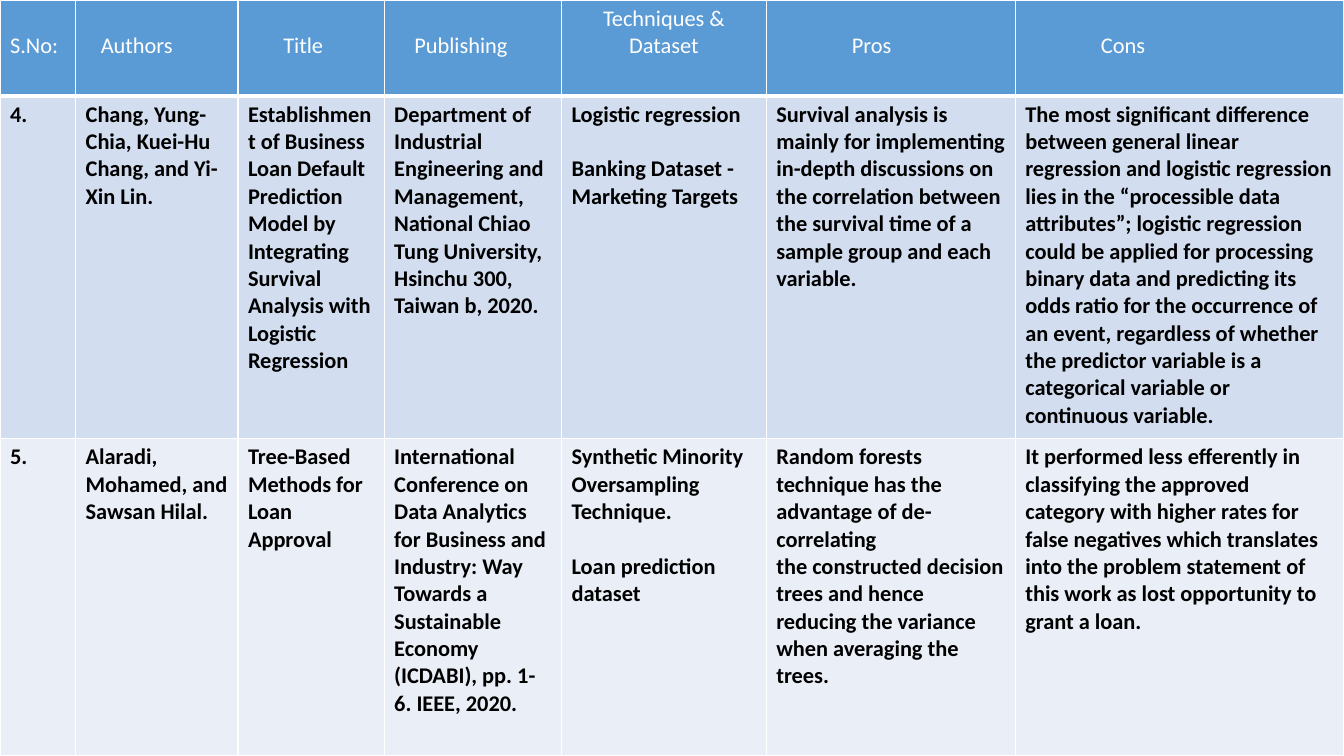
from lxml.etree import SubElement
from pptx import Presentation
from pptx.dml.color import RGBColor
from pptx.enum.text import PP_ALIGN
from pptx.oxml.ns import qn
from pptx.util import Inches, Pt

WHITE = RGBColor(0xFF, 0xFF, 0xFF)
BLACK = RGBColor(0x00, 0x00, 0x00)
BLUE = RGBColor(0x5B, 0x9B, 0xD5)
PALE = RGBColor(0xD2, 0xDE, 0xEF)
LIGHT = RGBColor(0xEA, 0xEF, 0xF7)

WIDTHS = [0.75, 1.61, 1.45, 1.76, 2.03, 2.47, 3.26]
HEIGHTS = [0.95, 3.4, 3.15]
FILLS = [BLUE, PALE, LIGHT]
LEFTS = [0.1, 0.25, 0.45, 0.3, 0.1, 0.85, 0.85]  # left margins of the headings
DATA = 4  # column of techniques and datasets

# Each cell is a list of paragraphs
ROWS = [
    [["S.No:"], ["Authors"], ["Title"], ["Publishing"],
     ["Techniques & Dataset"], ["Pros"], ["Cons"]],
    [["4."],
     ["Chang, Yung-Chia, Kuei-Hu Chang, and Yi-Xin Lin."],
     ["Establishment of Business Loan Default Prediction Model by "
      "Integrating Survival Analysis with Logistic Regression"],
     ["Department of Industrial Engineering and Management, National "
      "Chiao Tung University, Hsinchu 300, Taiwan b, 2020."],
     ["Logistic regression", "Banking Dataset - Marketing Targets"],
     ["Survival analysis is mainly for implementing in-depth discussions "
      "on the correlation between the survival time of a sample group and "
      "each variable."],
     ["The most significant difference between general linear regression "
      "and logistic regression lies in the “processible data attributes”; "
      "logistic regression could be applied for processing binary data and "
      "predicting its odds ratio for the occurrence of an event, regardless "
      "of whether the predictor variable is a categorical variable or "
      "continuous variable."]],
    [["5."],
     ["Alaradi, Mohamed, and Sawsan Hilal."],
     ["Tree-Based Methods for Loan Approval"],
     ["International Conference on Data Analytics for Business and "
      "Industry: Way Towards a Sustainable Economy (ICDABI), pp. 1-6. "
      "IEEE, 2020."],
     ["Synthetic Minority Oversampling Technique.",
      "Loan prediction dataset"],
     ["Random forests technique has the advantage of de-correlating",
      "the constructed decision trees and hence reducing the variance when "
      "averaging the trees."],
     ["It performed less efferently in classifying the approved category "
      "with higher rates for false negatives which translates into the "
      "problem statement of this work as lost opportunity to grant a "
      "loan."]],
]


def edge(cell, side, width):
    line = SubElement(cell._tc.get_or_add_tcPr(), qn("a:ln" + side), w=str(Pt(width)))
    fill = SubElement(line, qn("a:solidFill"))
    SubElement(fill, qn("a:srgbClr"), val=str(WHITE))


deck = Presentation()
deck.slide_width, deck.slide_height = Inches(13.33), Inches(7.5)
slide = deck.slides.add_slide(deck.slide_layouts[6])

# Table grid
table = slide.shapes.add_table(
    len(HEIGHTS), len(WIDTHS), 0, 0, Inches(13.33), Inches(7.5)).table
table.horz_banding = False
for col, width in zip(table.columns, WIDTHS):
    col.width = Inches(width)
for row, height in zip(table.rows, HEIGHTS):
    row.height = Inches(height)

# Cells
for r, texts in enumerate(ROWS):
    head = r == 0
    for c, paras in enumerate(texts):
        cell = table.cell(r, c)
        for side in "LRTB":
            edge(cell, side, 3 if head and side == "B" else 1)
        cell.fill.solid()
        cell.fill.fore_color.rgb = FILLS[r]
        if head:
            cell.margin_left = Inches(LEFTS[c])
            cell.margin_top = Inches(0.05 if c == DATA else 0.32)
        frame = cell.text_frame
        for i, text in enumerate(paras):
            para = frame.add_paragraph() if i else frame.paragraphs[0]
            if head and c == DATA:
                para.alignment = PP_ALIGN.CENTER
            if i and c == DATA:
                para.space_before = Pt(19.5)
            run = para.add_run()
            run.text = text
            run.font.name = "Calibri"
            run.font.size = Pt(16)
            run.font.bold = not head
            run.font.color.rgb = WHITE if head else BLACK

deck.save("out.pptx")
